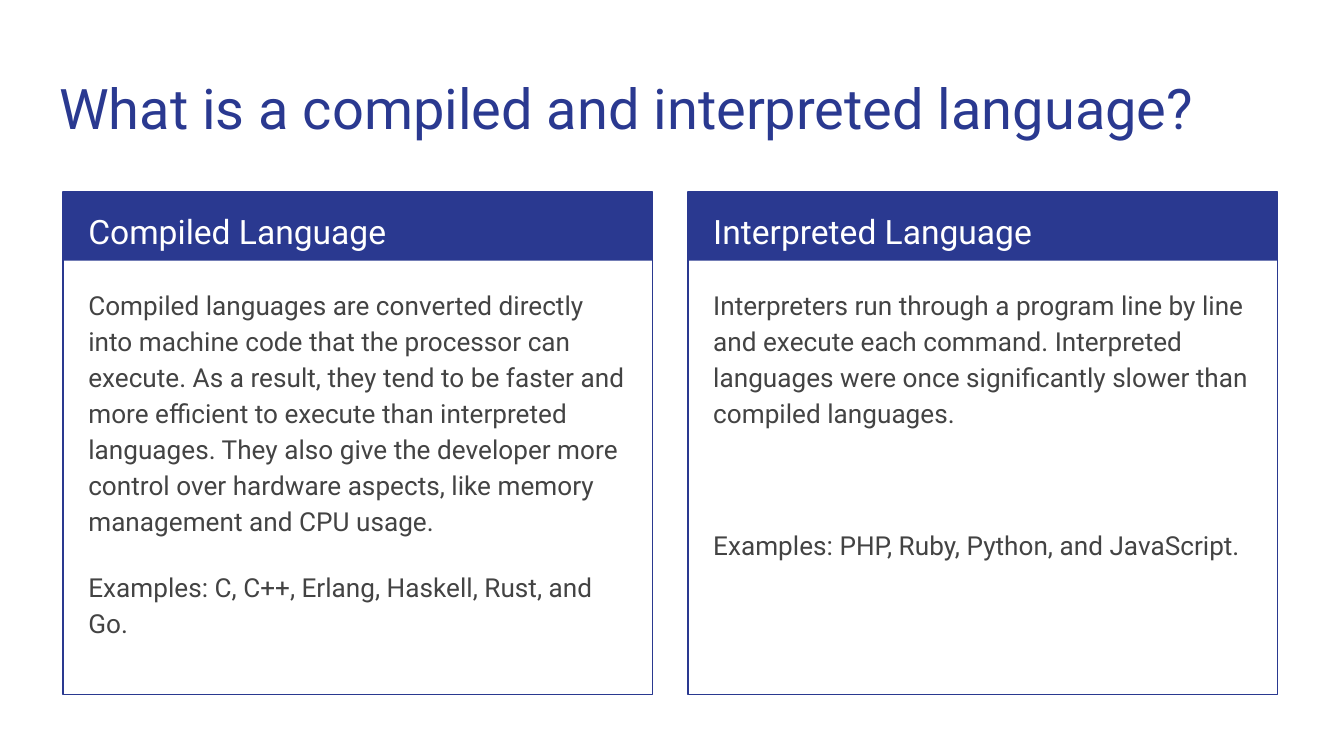
from dataclasses import dataclass

from pptx import Presentation
from pptx.dml.color import RGBColor
from pptx.enum.shapes import MSO_SHAPE as Shape
from pptx.enum.text import MSO_ANCHOR as Anchor, MSO_AUTO_SIZE as AutoSize, PP_ALIGN as Align
from pptx.util import Cm, Pt

COLORS = {"navy": "2A3990", "white": "FFFFFF", "gray": "434343"}
FONT = "Roboto"

# Card geometry in centimetres
CARD_TOP, CARD_WIDTH, CARD_HEIGHT = 3.63, 11.14, 9.5
HEADER_HEIGHT = 1.3
TEXT_INSET, TEXT_WIDTH = 0.23, 10.69
BODY_TOP, BODY_HEIGHT = 5.13, 7.77


@dataclass
class Card:
    left: float
    heading: str
    description: str
    examples: str
    examples_gap: float  # points above the examples line


CARDS = [
    Card(
        1.19,
        "Compiled Language",
        "Compiled languages are converted directly into machine code that the processor can "
        "execute. As a result, they tend to be faster and more efficient to execute than "
        "interpreted languages. They also give the developer more control over hardware "
        "aspects, like memory management and CPU usage.",
        "Examples: C, C++, Erlang, Haskell, Rust, and Go.",
        16,
    ),
    Card(
        13,
        "Interpreted Language",
        "Interpreters run through a program line by line and execute each command. "
        "Interpreted languages were once significantly slower than compiled languages.",
        "Examples: PHP, Ruby, Python, and JavaScript.",
        51.3,
    ),
]


def color(name: str) -> RGBColor:
    return RGBColor.from_string(COLORS[name])


def prepare_frame(box):
    """Give a text box or placeholder the common frame settings."""
    frame = box.text_frame
    frame.word_wrap = True
    frame.auto_size = AutoSize.NONE
    frame.vertical_anchor = Anchor.TOP
    frame.margin_left = frame.margin_right = Cm(0.25)
    frame.margin_top = frame.margin_bottom = Cm(0.25)
    return frame


def write(para, text: str, *, size: float, ink: str, spacing: float = 1.15,
          before: float = 0) -> None:
    para.alignment = Align.LEFT
    para.line_spacing = spacing
    para.space_before = Pt(before)
    span = para.add_run()
    span.text = text
    span.font.name = FONT
    span.font.size = Pt(size)
    span.font.color.rgb = color(ink)


def add_box(page, left: float, top: float, width: float, height: float):
    box = page.shapes.add_textbox(Cm(left), Cm(top), Cm(width), Cm(height))
    return prepare_frame(box)


def add_rectangle(group, left: float, height: float, *, filled: bool) -> None:
    box = group.shapes.add_shape(
        Shape.RECTANGLE, Cm(left), Cm(CARD_TOP), Cm(CARD_WIDTH), Cm(height))
    box.shadow.inherit = False
    if filled:
        box.fill.solid()
        box.fill.fore_color.rgb = color("navy")
        box.line.fill.background()
    else:
        box.fill.background()
        box.line.color.rgb = color("navy")
        box.line.width = Pt(0.75)


def draw_card(page, card: Card) -> None:
    # Header band and outline
    group = page.shapes.add_group_shape()
    add_rectangle(group, card.left, HEADER_HEIGHT, filled=True)
    add_rectangle(group, card.left, CARD_HEIGHT, filled=False)

    # Heading
    text_left = card.left + TEXT_INSET
    heading = add_box(page, text_left, CARD_TOP, TEXT_WIDTH, HEADER_HEIGHT)
    write(heading.paragraphs[0], card.heading, size=18, ink="white")

    # Description and examples
    body = add_box(page, text_left, BODY_TOP, TEXT_WIDTH, BODY_HEIGHT)
    write(body.paragraphs[0], card.description, size=14, ink="gray")
    write(body.add_paragraph(), card.examples, size=14, ink="gray",
          before=card.examples_gap)


def main() -> None:
    deck = Presentation()
    deck.slide_width, deck.slide_height = Cm(25.4), Cm(14.29)
    page = deck.slides.add_slide(deck.slide_layouts[5])

    # Title
    title = page.shapes.title
    title.left, title.top = Cm(0.87), Cm(1.14)
    title.width, title.height = Cm(23.67), Cm(1.68)
    write(prepare_frame(title).paragraphs[0],
          "What is a compiled and interpreted language?",
          size=30, ink="navy", spacing=1)

    # Comparison cards
    for card in CARDS:
        draw_card(page, card)

    deck.save("out.pptx")


if __name__ == "__main__":
    main()
